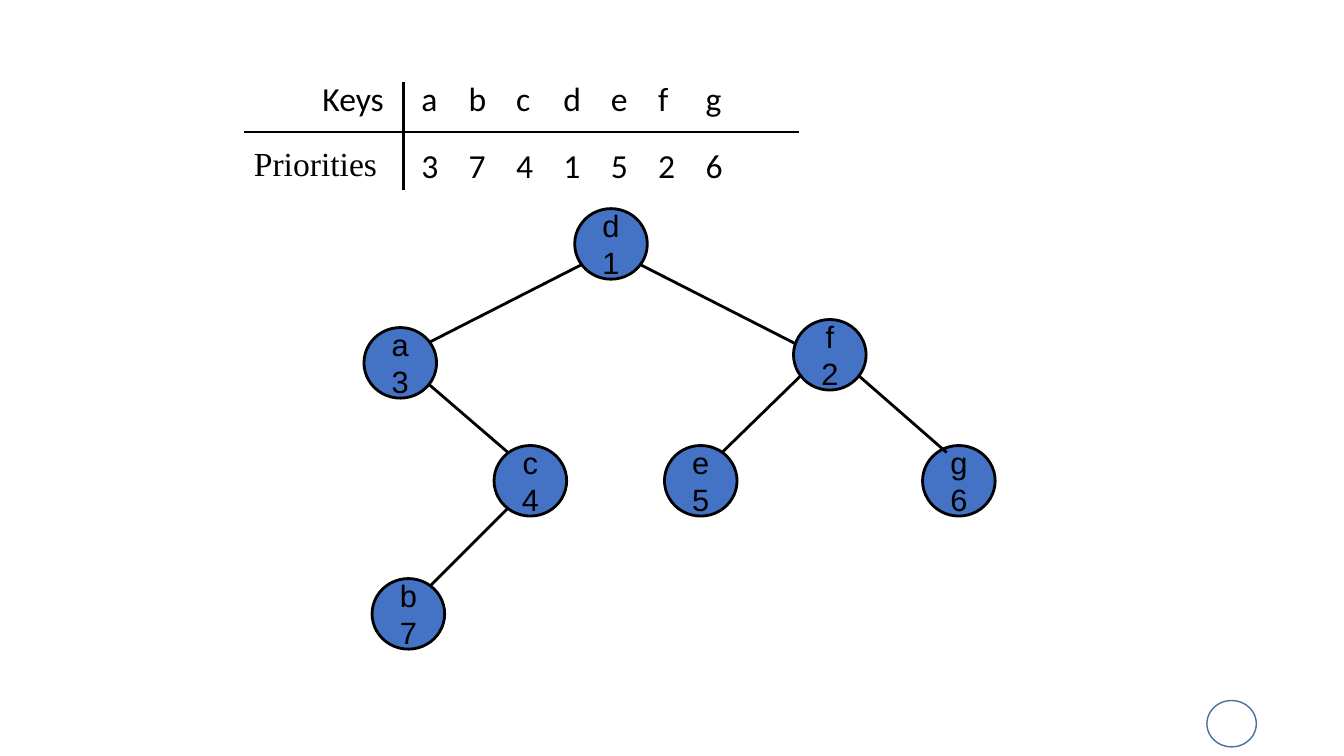
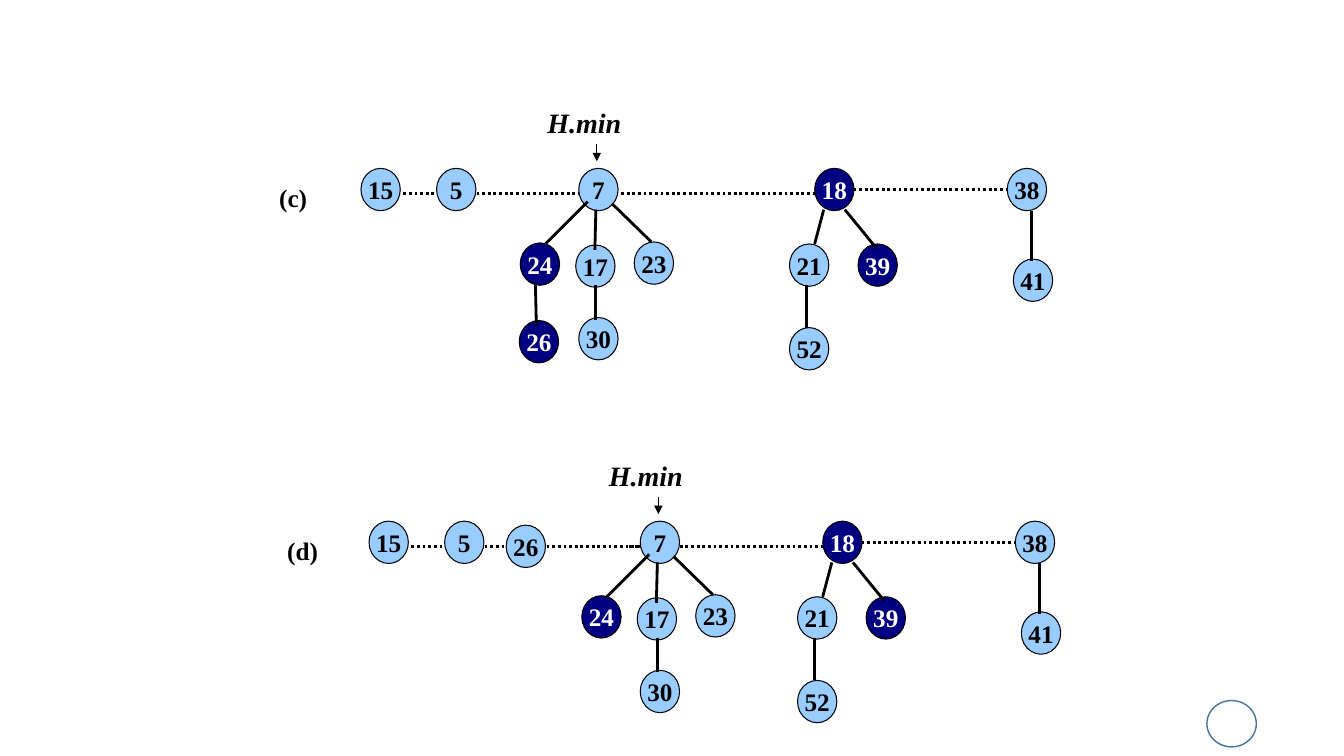
from pptx import Presentation
from pptx.dml.color import RGBColor
from pptx.enum.dml import MSO_LINE
from pptx.enum.shapes import MSO_CONNECTOR, MSO_SHAPE
from pptx.enum.text import MSO_ANCHOR, PP_ALIGN
from pptx.oxml.ns import qn
from pptx.util import Inches, Pt
from lxml import etree

OVAL = MSO_SHAPE.OVAL
STRAIGHT = MSO_CONNECTOR.STRAIGHT
DOTS = MSO_LINE.ROUND_DOT
MIDDLE = MSO_ANCHOR.MIDDLE
CENTER = PP_ALIGN.CENTER

COLORS = {name: RGBColor.from_string(code) for name, code in {
    "black": "000000", "white": "FFFFFF", "blue": "4472C4",
    "sky": "99CCFF", "navy": "000080", "ring": "43739E"}.items()}
SERIF = "Times New Roman"


def put(shapes, text, left, top, wide, high, *, fill=None, edge=0.75, size=18,
        font=SERIF, color="black", bold=False, italic=False, tab=0):
    """Add text in a filled oval, or in a plain box when there is no fill."""
    place = [Inches(n) for n in (left, top, wide, high)]
    if fill:
        shape = shapes.add_shape(OVAL, *place)
        shape.shadow.inherit = False
        shape.fill.solid()
        shape.fill.fore_color.rgb = COLORS[fill]
        shape.line.color.rgb = COLORS["black"]
        shape.line.width = Pt(edge)
    else:
        shape = shapes.add_textbox(*place)
    frame = shape.text_frame
    frame.word_wrap = not fill
    if fill:
        frame.vertical_anchor = MIDDLE
        frame.margin_left = frame.margin_right = 0
        frame.margin_top = frame.margin_bottom = 0
    frame.text = text
    for para in frame.paragraphs:
        if fill:
            para.alignment = CENTER
        if tab:
            stops = etree.SubElement(para._p.get_or_add_pPr(), qn("a:tabLst"))
            for i in range(text.count("\t")):
                etree.SubElement(stops, qn("a:tab"), algn="l",
                                 pos=str(Inches(tab * (i + 1))))
        for run in para.runs:
            run.font.name = font
            run.font.size = Pt(size)
            run.font.bold = bold
            run.font.italic = italic
            run.font.color.rgb = COLORS[color]


def draw(shapes, x1, y1, x2, y2, width=2, dash=None, arrow=False):
    """Add a straight black line."""
    line = shapes.add_connector(STRAIGHT, *[Inches(n) for n in (x1, y1, x2, y2)])
    line.line.color.rgb = COLORS["black"]
    line.line.width = Pt(width)
    if dash:
        line.line.dash_style = dash
    if arrow:
        etree.SubElement(line.line._get_or_add_ln(), qn("a:tailEnd"),
                         type="triangle")
    etree.SubElement(line.element.spPr, qn("a:effectLst"))


deck = Presentation()
deck.slide_width = Inches(13.33)
deck.slide_height = Inches(7.5)
blank = deck.slide_layouts[6]
for holder in list(blank.placeholders):
    holder.element.getparent().remove(holder.element)
treap = deck.slides.add_slide(blank)
heaps = deck.slides.add_slide(blank)

# The ring in the corner belongs to the layout
ring = treap.shapes.add_shape(OVAL, Inches(11.97), Inches(6.95),
                              Inches(0.49), Inches(0.46))
ring.shadow.inherit = False
ring.fill.background()
ring.line.color.rgb = COLORS["ring"]
ring.line.width = Pt(1)
blank.shapes.element.append(ring.element)

# Treap: table of keys and priorities
shapes = treap.shapes
draw(shapes, 2.42, 1.31, 7.92, 1.31)
draw(shapes, 4, 0.81, 4, 1.89)
put(shapes, "Keys", 3.1, 0.72, 0.9, 0.5, size=24, font="Calibri")
put(shapes, "Priorities", 2.42, 1.37, 1.6, 0.5, size=24)
for row, top in (("abcdefg", 0.72), ("3741526", 1.39)):
    put(shapes, "\t".join(row), 4.08, top, 3.69, 0.5, size=24,
        font="Calibri", tab=0.47)

# Treap: nodes and edges
nodes = [("d", 1, 5.7, 2.07), ("a", 3, 3.61, 3.25), ("f", 2, 7.87, 3.17),
         ("c", 4, 4.9, 4.42), ("e", 5, 6.59, 4.42), ("g", 6, 9.15, 4.42),
         ("b", 7, 3.69, 5.74)]
edges = [(5.76, 2.63, 4.27, 3.39), (6.36, 2.63, 7.89, 3.41),
         (4.25, 3.81, 5.04, 4.49), (5.03, 5.05, 4.26, 5.82),
         (7.95, 3.72, 7.16, 4.49), (8.52, 3.73, 9.39, 4.49)]
for key, rank, left, top in nodes:
    put(shapes, f"{key}\n{rank}", left, top, 0.72, 0.7, fill="blue",
        edge=2, size=22, font="Arial")
for edge in edges:
    draw(shapes, *edge)

# Fibonacci heaps: the tree under the minimum moves apart from the rest
side_nodes = [(15, 3.58, 1.67), (5, 4.33, 1.67), (18, 8.08, 1.67),
              (38, 9.99, 1.67), (21, 7.83, 2.42), (39, 8.51, 2.42),
              (52, 7.83, 3.25), (41, 10.05, 2.57)]
side_edges = [(8.17, 2.08, 8.08, 2.42), (8.38, 2.08, 8.69, 2.46),
              (8, 2.83, 8, 3.25), (10.23, 2.09, 10.23, 2.59)]
min_nodes = [(7, 5.74, 1.67), (24, 5.16, 2.41), (17, 5.71, 2.43),
             (23, 6.29, 2.4), (30, 5.74, 3.15)]
min_edges = [(5.83, 2, 5.41, 2.42), (5.91, 2.08, 5.9, 2.48),
             (6.07, 2.02, 6.46, 2.4), (5.91, 2.83, 5.91, 3.17)]
cut_edge = (5.31, 2.81, 5.32, 3.23)

# Label, shift of the sides, shift of the minimum, drop, place of 26, marked
for label, side, mid, drop, spot, marked in (
        ("(c)", 0, 0, 0, (5.15, 3.18), {18, 24, 26, 39}),
        ("(d)", 0.08, 0.61, 3.5, (5.02, 5.21), {18, 24, 39})):
    shapes = heaps.shapes.add_group_shape().shapes
    put(shapes, label, 2.67 + side, 1.76 + drop, 0.55, 0.4, bold=True)
    put(shapes, "H.min", 5.33 + mid, 1 + drop, 1, 0.43, size=20,
        bold=True, italic=True)
    draw(shapes, 5.92 + mid, 1.43 + drop, 5.92 + mid, 1.6 + drop,
         width=0.75, arrow=True)
    for x1, x2, y in ((4 + side, 5.75 + mid, 1.92),
                      (6.16 + side, 8.16 + side, 1.92),
                      (8.13 + side, 10 + side, 1.88)):
        draw(shapes, x1, y + drop, x2, y + drop, dash=DOTS)
    places = [(26, *spot)]
    for shift, group in ((side, side_nodes), (mid, min_nodes)):
        places += [(key, x + shift, y + drop) for key, x, y in group]
    for key, left, top in places:
        dark = key in marked
        put(shapes, str(key), left, top, 0.39, 0.42, bold=True,
            fill="navy" if dark else "sky", color="white" if dark else "black")
    for shift, group in ((side, side_edges), (mid, min_edges)):
        for x1, y1, x2, y2 in group:
            draw(shapes, x1 + shift, y1 + drop, x2 + shift, y2 + drop)
    if 26 in marked:
        draw(shapes, *cut_edge)

deck.save("out.pptx")
